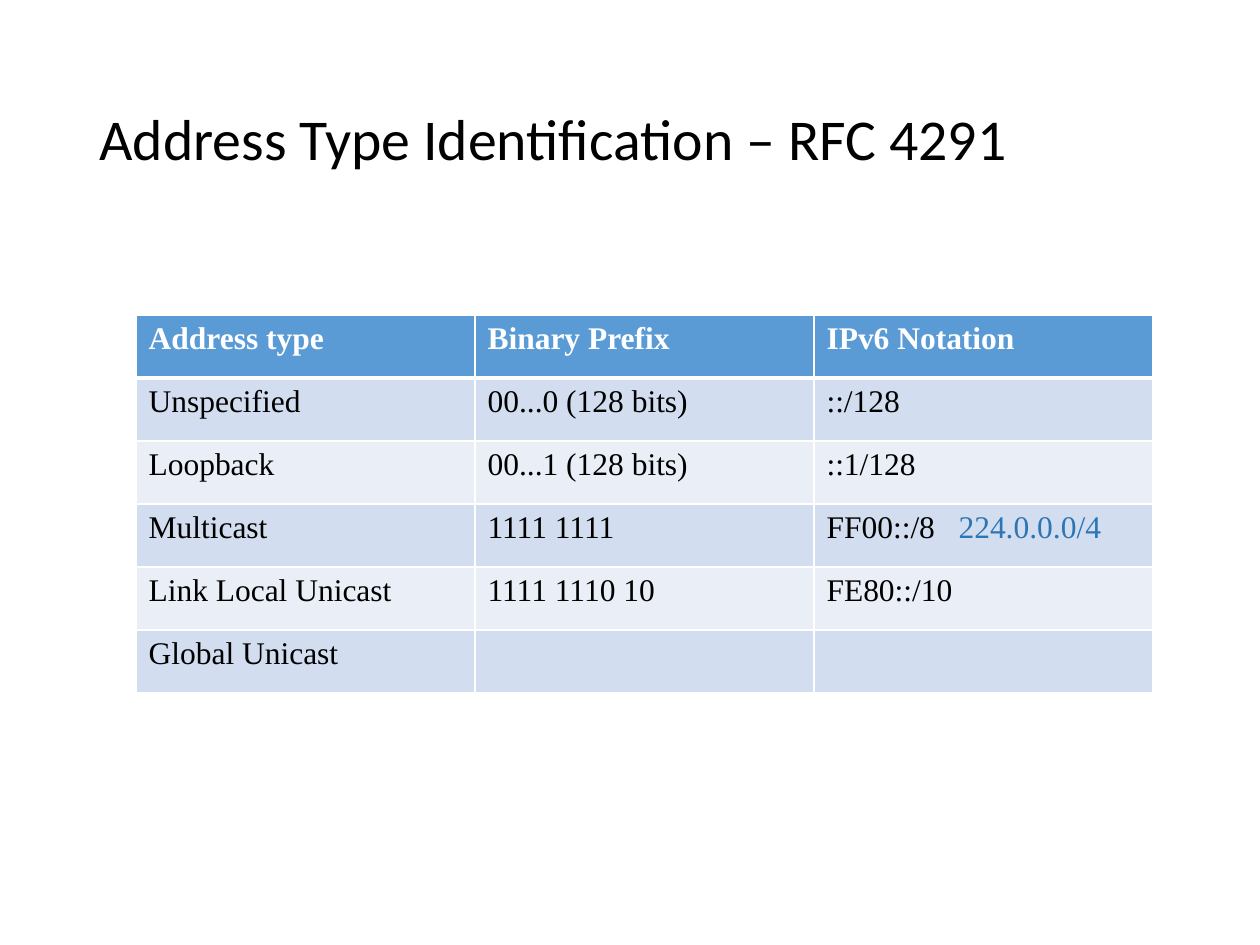
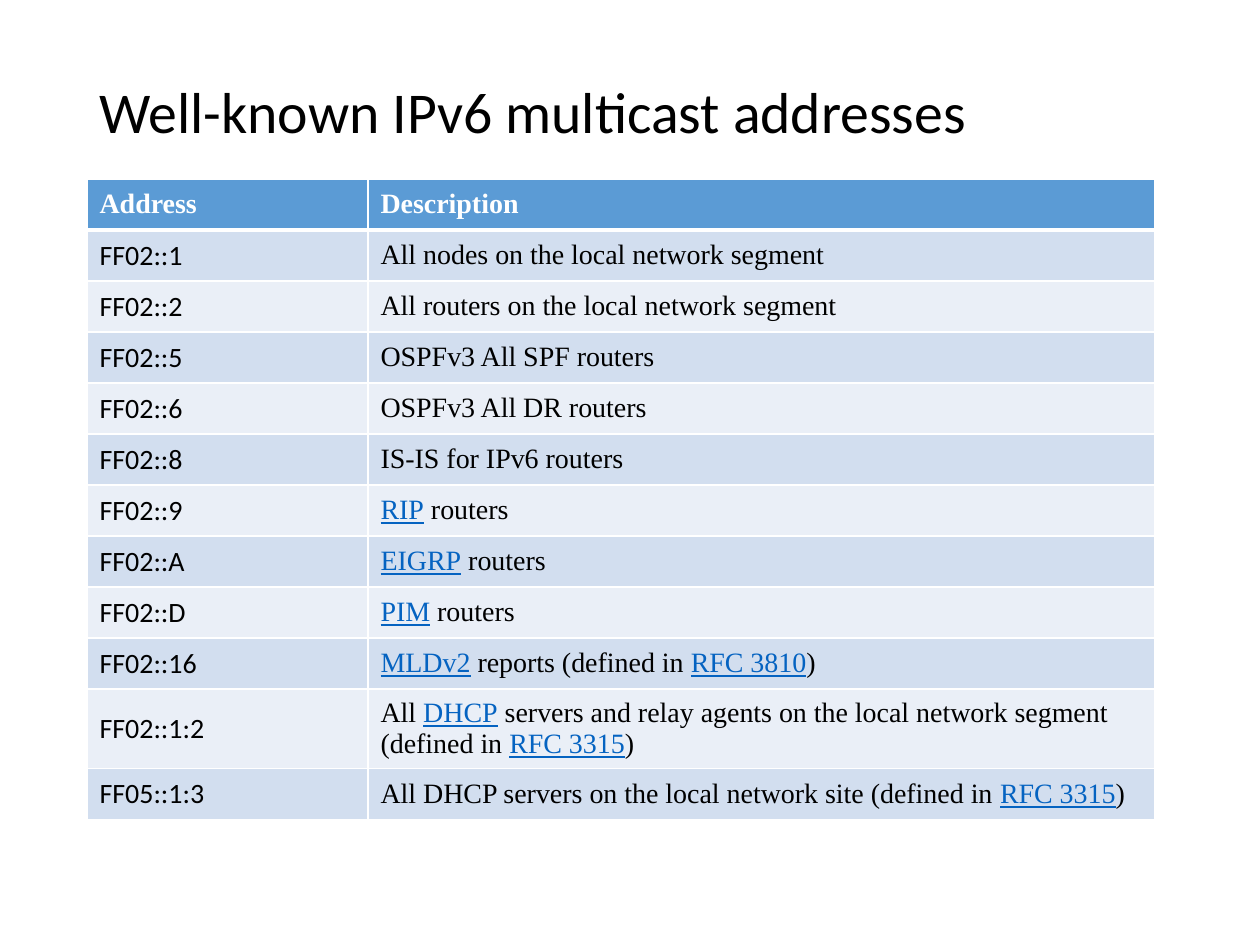
from lxml import etree
from pptx import Presentation
from pptx.dml.color import RGBColor
from pptx.enum.text import MSO_ANCHOR
from pptx.oxml.ns import qn
from pptx.util import Pt

TOP, MIDDLE = MSO_ANCHOR.TOP, MSO_ANCHOR.MIDDLE
SANS, SERIF = "Calibri", "Times New Roman"
BLACK, WHITE = "000000", "FFFFFF"
HEAD, BANDS = "5B9BD5", ("D2DEEF", "EAEFF7")
BLUE, LINK = "2E75B6", "0563C1"


def px(n):
    return round(n * 914400 / 126)


def paint(target, color):
    """Give a fill one solid colour."""
    target.solid()
    target.fore_color.rgb = RGBColor.from_string(color)


def edge(cell, side, width):
    """Draw one white cell border; sides must come in the order L, R, T, B."""
    line = etree.SubElement(cell._tc.get_or_add_tcPr(), qn("a:ln" + side),
                            w=str(Pt(width)))
    fill = etree.SubElement(line, qn("a:solidFill"))
    etree.SubElement(fill, qn("a:srgbClr"), val=WHITE)


class Deck:
    """Holds the shared style and the current slide."""

    def __init__(self):
        self.prs = Presentation()
        self.prs.slide_width, self.prs.slide_height = px(1260), px(945)
        self.slide = None

    def page(self, title, height):
        self.slide = self.prs.slides.add_slide(self.prs.slide_layouts[6])
        box = self.slide.shapes.add_textbox(px(87), px(50), px(1086), px(height))
        frame = box.text_frame
        frame.word_wrap = True
        frame.vertical_anchor = MIDDLE
        self.label(frame, title, SANS, 33)
        frame.paragraphs[0].line_spacing = 0.9

    def label(self, frame, text, font, size, color=BLACK, bold=False,
              mark=LINK, under=True, tab=0):
        """Set one paragraph; text between bars takes the mark colour."""
        para = frame.paragraphs[0]
        if "\t" in text:
            tabs = etree.SubElement(para._p.get_or_add_pPr(), qn("a:tabLst"))
            etree.SubElement(tabs, qn("a:tab"), pos=str(px(tab)), algn="l")
        para.font.name = font
        para.font.size = Pt(size)
        para.font.bold = bold
        paint(para.font.fill, color)
        for i, part in enumerate(text.split("|")):
            if part:
                run = para.add_run()
                run.text = part
                if i % 2:
                    paint(run.font.fill, mark)
                    run.font.underline = under

    def grid(self, x, y, cols, high, rows, size, anchor, lead=SERIF, **marks):
        """Draw a banded table; lead is the font of the first body column."""
        frame = self.slide.shapes.add_table(
            len(rows), len(cols), px(x), px(y), px(sum(cols)),
            px(high * len(rows)))
        table = frame.table
        table.first_row = table.horz_banding = False
        for col, wide in zip(table.columns, cols):
            col.width = px(wide)
        for r, row in enumerate(rows):
            table.rows[r].height = px(high)
            for c, text in enumerate(row):
                cell = table.cell(r, c)
                cell.vertical_anchor = anchor
                for side in "LRTB":
                    thick = (r, side) in ((0, "B"), (1, "T"))
                    edge(cell, side, 3 if thick else 1)
                paint(cell.fill, BANDS[(r - 1) % 2] if r else HEAD)
                font = lead if r and c == 0 else SERIF
                self.label(cell.text_frame, text, font, size,
                           BLACK if r else WHITE, r == 0, **marks)


TYPES = [
    ("Address type", "Binary Prefix", "IPv6 Notation"),
    ("Unspecified", "00...0 (128 bits)", "::/128"),
    ("Loopback", "00...1 (128 bits)", "::1/128"),
    ("Multicast", "1111 1111", "FF00::/8\t|224.0.0.0/4|"),
    ("Link Local Unicast", "1111 1110 10", "FE80::/10"),
    ("Global Unicast", "", ""),
]

GROUPS = [
    ("Address", "Description"),
    ("FF02::1", "All nodes on the local network segment"),
    ("FF02::2", "All routers on the local network segment"),
    ("FF02::5", "OSPFv3 All SPF routers"),
    ("FF02::6", "OSPFv3 All DR routers"),
    ("FF02::8", "IS-IS for IPv6 routers"),
    ("FF02::9", "|RIP| routers"),
    ("FF02::A", "|EIGRP| routers"),
    ("FF02::D", "|PIM| routers"),
    ("FF02::16", "|MLDv2| reports (defined in |RFC 3810|)"),
    ("FF02::1:2", "All |DHCP| servers and relay agents on the local network "
                  "segment (defined in |RFC 3315|)"),
    ("FF05::1:3", "All DHCP servers on the local network site "
                  "(defined in |RFC 3315|)"),
]


def main():
    deck = Deck()
    deck.page("Address Type Identification – RFC 4291", 183)
    deck.grid(136, 315, [339] * 3, 63, TYPES, 18, TOP,
              mark=BLUE, under=False, tab=132)
    deck.page("Well-known IPv6 multicast addresses", 129)
    deck.grid(87, 179, [281, 787], 51, GROUPS, 16, MIDDLE, SANS)
    deck.prs.save("out.pptx")


if __name__ == "__main__":
    main()
